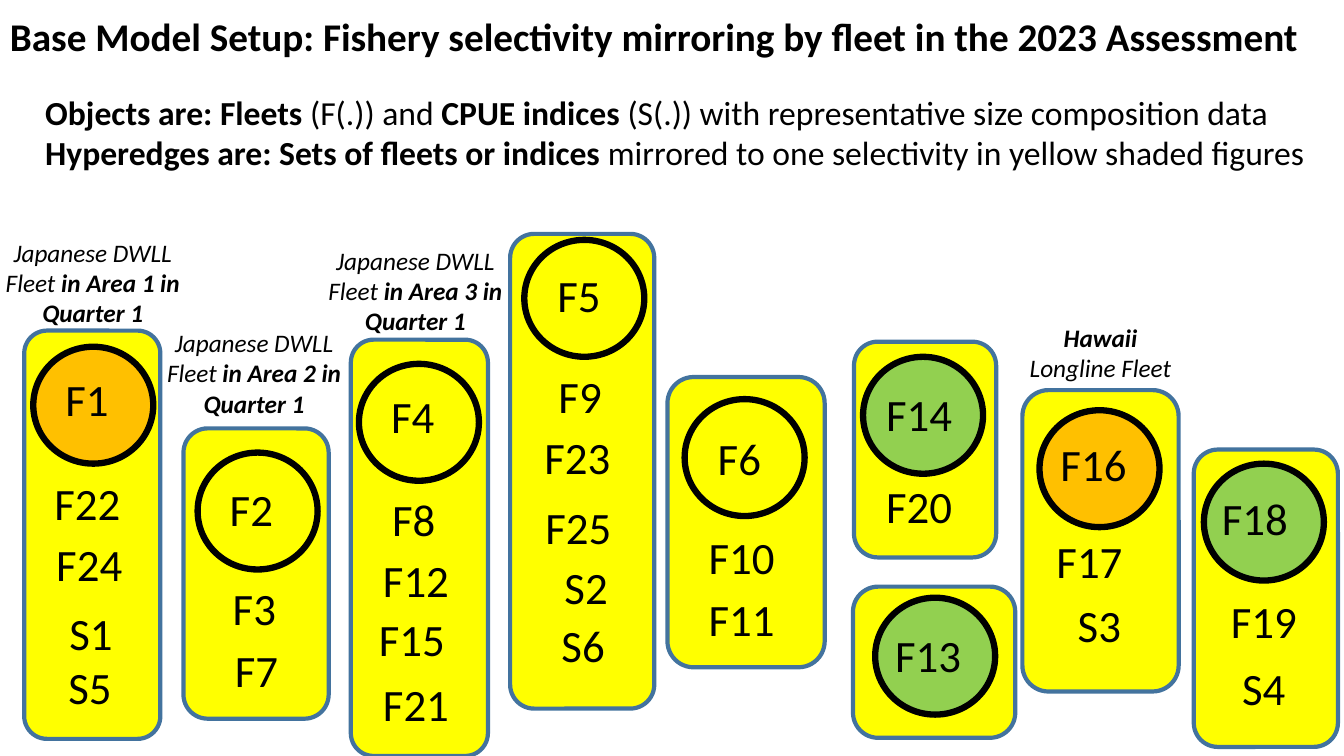
from pptx import Presentation
from pptx.dml.color import RGBColor
from pptx.enum.shapes import MSO_SHAPE as Shape
from pptx.enum.text import MSO_AUTO_SIZE as AutoSize, PP_ALIGN as Align
from pptx.util import Inches, Pt

YELLOW = RGBColor(0xFF, 0xFF, 0x00)
ORANGE = RGBColor(0xFF, 0xC0, 0x00)
GREEN = RGBColor(0x92, 0xD0, 0x50)
BLUE = RGBColor(0x43, 0x73, 0x9E)
BLACK = RGBColor(0x00, 0x00, 0x00)
FONT = "Calibri"

COLS, ROWS = 1333, 750
CELL = Inches(0.01)
CIRCLE_W, CIRCLE_H = 119, 116
LABEL_H = 64
LABEL_W = {2: 75, 3: 106}
CAPTION_W = 232

TITLE = "Base Model Setup: Fishery selectivity mirroring by fleet in the 2023 Assessment"
INTRO = [
    ("Objects are: Fleets", True),
    (" (F(.)) and ", False),
    ("CPUE indices ", True),
    ("(S(.)) with representative size composition data ", False),
    ("Hyperedges are: Sets of fleets or indices ", True),
    ("mirrored to one selectivity in yellow shaded figures", False),
]

# box: left, top, width, height; circle: left, top; labels: text, left, top
HYPEREDGES = [
    ((24, 328, 135, 405), (33, 344), ORANGE,
     [("F1", 55, 364), ("F22", 44, 467), ("F24", 46, 528), ("S1", 59, 596), ("S5", 58, 650)]),
    ((182, 425, 144, 288), (196, 449), None,
     [("F2", 218, 473), ("F3", 221, 571), ("F7", 223, 633)]),
    ((348, 337, 136, 413), (356, 361), None,
     [("F4", 378, 381), ("F8", 379, 483), ("F12", 370, 543), ("F15", 366, 602), ("F21", 370, 666)]),
    ((506, 232, 143, 471), (520, 238), None,
     [("F5", 543, 261), ("F9", 544, 361), ("F23", 530, 421), ("F25", 531, 491),
      ("S2", 550, 550), ("S6", 547, 608)]),
    ((662, 374, 156, 288), (679, 396), None,
     [("F6", 702, 422), ("F10", 693, 521), ("F11", 693, 582)]),
    ((847, 339, 141, 214), (856, 354), GREEN, [("F14", 869, 379), ("F20", 869, 470)]),
    ((1014, 387, 155, 299), (1031, 407), ORANGE,
     [("F16", 1042, 428), ("F17", 1038, 525), ("S3", 1059, 588)]),
    ((1184, 446, 143, 295), (1194, 460), GREEN,
     [("F18", 1202, 482), ("F19", 1211, 584), ("S4", 1222, 651)]),
    ((846, 582, 161, 150), (868, 593), GREEN, [("F13", 878, 618)]),
]
AREA_CAPTIONS = [(1, -24, 230), (2, 136, 320), (3, 296, 238)]


def place(left, top, width, height):
    return [int(n * CELL) for n in (left, top, width, height)]


def add_outline(s, kind, area, fill, line, weight):
    sp = s.shapes.add_shape(kind, *place(*area))
    sp.shadow.inherit = False
    if fill is None:
        sp.fill.background()
    else:
        sp.fill.solid()
        sp.fill.fore_color.rgb = fill
    sp.line.color.rgb = line
    sp.line.width = Pt(weight)


def add_text(s, area, paragraphs, size, italic=False, align=Align.LEFT):
    tf = s.shapes.add_textbox(*place(*area)).text_frame
    tf.word_wrap = True
    tf.auto_size = AutoSize.SHAPE_TO_FIT_TEXT
    for i, runs in enumerate(paragraphs):
        p = tf.add_paragraph() if i else tf.paragraphs[0]
        p.alignment = align
        for text, bold in runs:
            r = p.add_run()
            r.text = text
            r.font.name = FONT
            r.font.size = Pt(size)
            r.font.bold = bold
            r.font.italic = italic
            r.font.color.rgb = BLACK


def main():
    prs = Presentation()
    prs.slide_width, prs.slide_height = COLS * CELL, ROWS * CELL
    s = prs.slides.add_slide(prs.slide_layouts[6])

    for box, *_ in reversed(HYPEREDGES):
        add_outline(s, Shape.ROUNDED_RECTANGLE, box, YELLOW, BLUE, 3)
    for _, circle, fill, labels in HYPEREDGES:
        add_outline(s, Shape.OVAL, (*circle, CIRCLE_W, CIRCLE_H), fill, BLACK, 4.5)
        for text, left, top in labels:
            add_text(s, (left, top, LABEL_W[len(text)], LABEL_H), [[(text, False)]], 32)

    add_text(s, (0, 7, COLS, 57), [[(TITLE, True)]], 28)
    add_text(s, (35, 86, 1292, 91), [INTRO], 24)
    add_text(s, (1010, 315, 163, 71), [[("Hawaii", True)], [("Longline Fleet", False)]],
             18, True, Align.CENTER)
    for area, left, top in AREA_CAPTIONS:
        lines = [[("Japanese DWLL", False)],
                 [("Fleet ", False), (f"in Area {area} in Quarter 1", True)]]
        add_text(s, (left, top, CAPTION_W, 101), lines, 18, True, Align.CENTER)

    prs.save("out.pptx")


if __name__ == "__main__":
    main()
